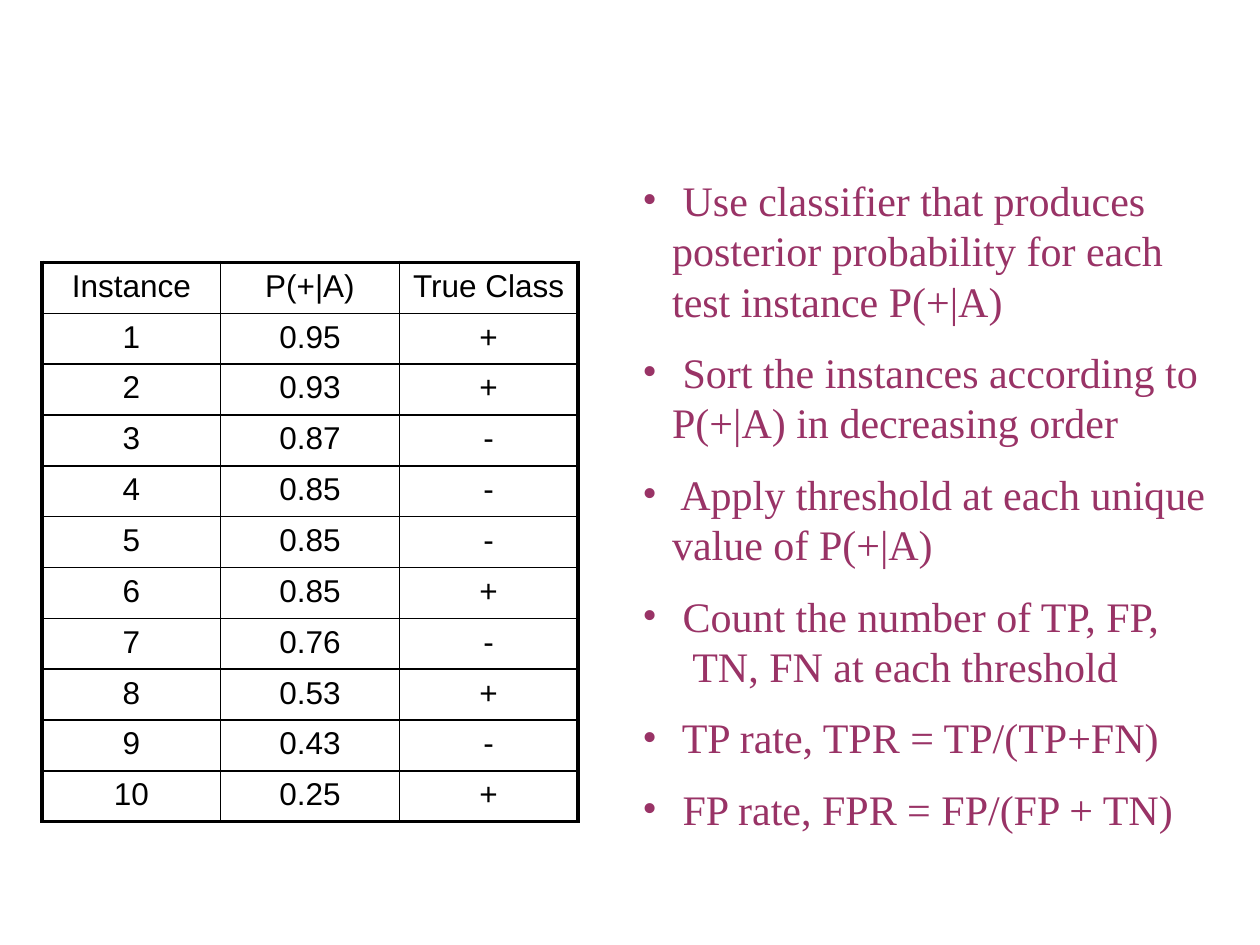
from dataclasses import dataclass

from lxml.etree import SubElement
from pptx import Presentation
from pptx.dml.color import RGBColor
from pptx.enum.text import PP_ALIGN
from pptx.oxml.ns import qn
from pptx.slide import Slide
from pptx.util import Cm, Pt


@dataclass(frozen=True)
class Theme:
    ink: str = "000000"
    accent: str = "993366"
    table_font: str = "Arial"
    body_font: str = "Times New Roman"
    table_size: Pt = Pt(18)
    body_size: Pt = Pt(24)
    body_leading: Pt = Pt(28.8)
    body_gap: Pt = Pt(12)
    thin: Pt = Pt(1)
    thick: Pt = Pt(2.25)


@dataclass(frozen=True)
class Box:
    left: Cm
    top: Cm
    width: Cm
    height: Cm


@dataclass(frozen=True)
class Instance:
    number: int
    probability: float
    true_class: str

    def cells(self) -> tuple[str, ...]:
        return str(self.number), f"{self.probability:.2f}", self.true_class


THEME = Theme()
TABLE_BOX = Box(Cm(0.85), Cm(5.29), Cm(10.8), Cm(11.28))
STEPS_BOX = Box(Cm(12.7), Cm(3.39), Cm(12.07), Cm(13.94))
HANGING = Cm(0.6)

HEADER = ("Instance", "P(+|A)", "True Class")
PROBABILITIES = (0.95, 0.93, 0.87, 0.85, 0.85, 0.85, 0.76, 0.53, 0.43, 0.25)
INSTANCES = [
    Instance(n, prob, sign)
    for n, (prob, sign) in enumerate(zip(PROBABILITIES, "++---+-+-+"), start=1)
]

STEPS = (
    " Use classifier that produces posterior probability for each test instance P(+|A)",
    " Sort the instances according to P(+|A) in decreasing order",
    " Apply threshold at each unique value of P(+|A)",
    " Count the number of TP, FP, \v  TN, FN at each threshold",
    " TP rate, TPR = TP/(TP+FN)",
    " FP rate, FPR = FP/(FP + TN)",
)


def style_font(font, name: str, size: Pt, color: str) -> None:
    font.name = name
    font.size = size
    font.color.rgb = RGBColor.from_string(color)


def set_borders(cell, outer: dict[str, bool]) -> None:
    """Draw thick lines on the outer sides of the table, thin ones inside."""
    tc_pr = cell._tc.get_or_add_tcPr()
    for side, is_outer in outer.items():
        width = THEME.thick if is_outer else THEME.thin
        ln = SubElement(tc_pr, qn(f"a:ln{side}"), w=str(width))
        fill = SubElement(ln, qn("a:solidFill"))
        SubElement(fill, qn("a:srgbClr"), val=THEME.ink)


def add_instance_table(s: Slide, box: Box, rows: list[tuple[str, ...]]) -> None:
    n_rows, n_cols = len(rows), len(rows[0])
    table = s.shapes.add_table(
        n_rows, n_cols, box.left, box.top, box.width, box.height
    ).table
    table.first_row = table.horz_banding = False
    for i, row in enumerate(rows):
        for j, text in enumerate(row):
            cell = table.cell(i, j)
            set_borders(cell, {
                "L": j == 0, "R": j == n_cols - 1,
                "T": i == 0, "B": i == n_rows - 1,
            })
            cell.fill.background()
            p = cell.text_frame.paragraphs[0]
            p.text = text
            p.alignment = PP_ALIGN.CENTER
            for r in p.runs:
                style_font(r.font, THEME.table_font, THEME.table_size, THEME.ink)


def add_bullets(s: Slide, box: Box, items: tuple[str, ...]) -> None:
    tf = s.shapes.add_textbox(box.left, box.top, box.width, box.height).text_frame
    tf.word_wrap = True
    for i, item in enumerate(items):
        p = tf.add_paragraph() if i else tf.paragraphs[0]
        p.text = item
        p.line_spacing = THEME.body_leading
        if i:
            p.space_before = THEME.body_gap
        p_pr = p._p.get_or_add_pPr()
        p_pr.set("marL", str(HANGING))
        p_pr.set("indent", str(-HANGING))
        SubElement(p_pr, qn("a:buFont"), typeface=THEME.body_font)
        SubElement(p_pr, qn("a:buChar"), char="•")
        style_font(p.font, THEME.body_font, THEME.body_size, THEME.accent)
        for r in p.runs:
            style_font(r.font, THEME.body_font, THEME.body_size, THEME.accent)


def main() -> None:
    prs = Presentation()
    prs.slide_width, prs.slide_height = Cm(25.4), Cm(19.05)
    s = prs.slides.add_slide(prs.slide_layouts[6])

    # Classified instances, sorted by probability
    add_instance_table(s, TABLE_BOX, [HEADER, *(x.cells() for x in INSTANCES)])

    # Steps for building the ROC curve
    add_bullets(s, STEPS_BOX, STEPS)

    prs.save("out.pptx")


if __name__ == "__main__":
    main()
